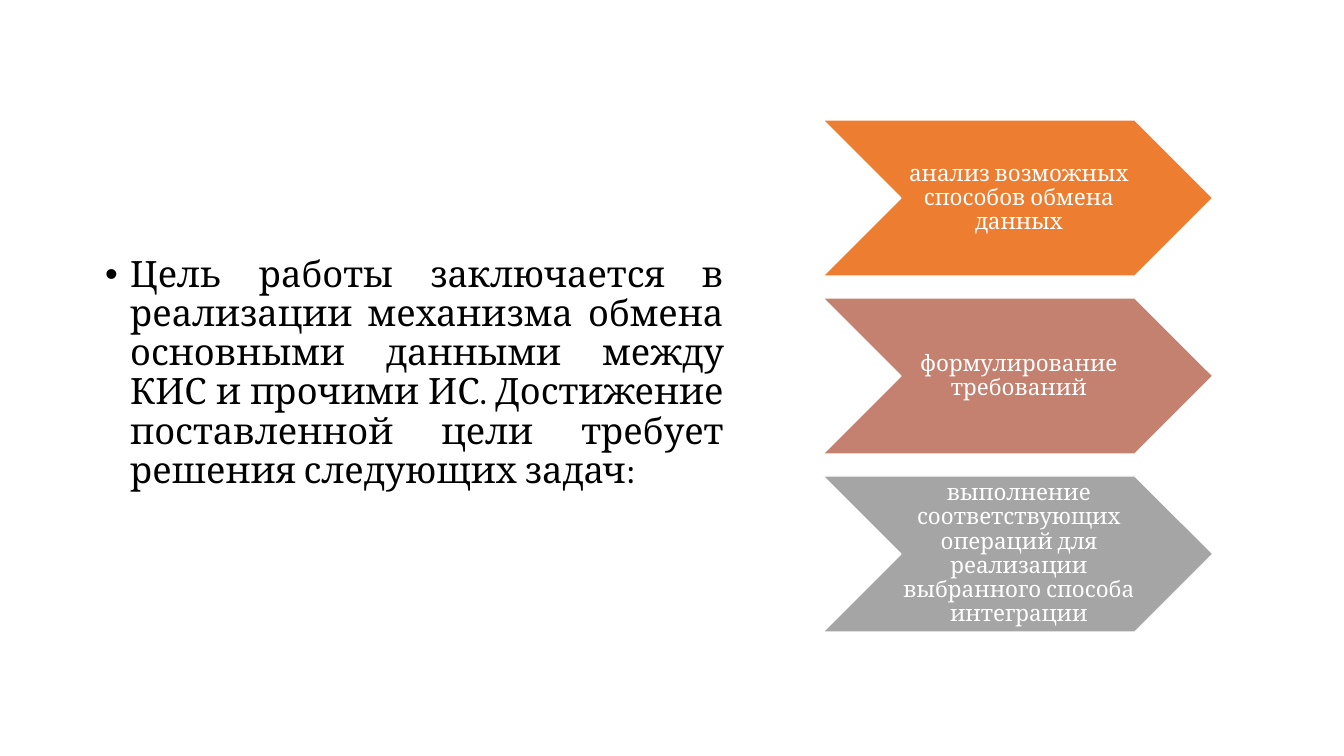
from pptx import Presentation
from pptx.dml.color import RGBColor
from pptx.enum.shapes import MSO_SHAPE as Shape
from pptx.enum.text import MSO_ANCHOR as Anchor, MSO_AUTO_SIZE as AutoSize, PP_ALIGN as Align
from pptx.util import Pt

PX = 12192000 / 1344
COLORS = {
    "background": "FFFFFF",
    "text": "000000",
    "light": "FFFFFF",
    "analysis": "ED7D31",
    "requirements": "C48170",
    "execution": "A5A5A5",
}


def px(length):
    return round(length * PX)


def format_paragraph(paragraph, align, size, color):
    paragraph.alignment = align
    paragraph.line_spacing = 0.9
    for run in paragraph.runs:
        run.font.name = "Cambria"
        run.font.size = Pt(size)
        run.font.color.rgb = RGBColor.from_string(COLORS[color])


prs = Presentation()
prs.slide_width, prs.slide_height = px(1344), px(756)
slide = prs.slides.add_slide(prs.slide_layouts[1])
slide.background.fill.solid()
slide.background.fill.fore_color.rgb = RGBColor.from_string(COLORS["background"])

# The slide has no title
title = slide.shapes.title
title.element.getparent().remove(title.element)

# Goal of the work
goal = slide.placeholders[1]
goal.left, goal.top, goal.width, goal.height = px(95), px(251), px(639), px(250)
goal.text_frame.text = (
    "Цель работы заключается в реализации механизма обмена основными данными "
    "между КИС и прочими ИС. Достижение поставленной цели требует решения "
    "следующих задач:"
)
goal.text_frame.auto_size = AutoSize.NONE
goal.text_frame.vertical_anchor = Anchor.TOP
goal_paragraph = goal.text_frame.paragraphs[0]
format_paragraph(goal_paragraph, Align.JUSTIFY, 25.9, "text")
goal_paragraph.space_before = Pt(10)
indents = goal_paragraph._p.get_or_add_pPr()
indents.set("marL", str(px(25)))
indents.set("indent", str(-px(25)))

# Tasks as a column of chevrons
tasks = [
    ("анализ возможных способов обмена данных", "analysis"),
    ("формулирование требований", "requirements"),
    ("выполнение соответствующих операций для реализации выбранного способа интеграции",
     "execution"),
]
TASK_HEIGHT, TASK_GAP = 156, 22
for row, (wording, color) in enumerate(tasks):
    top = 120 + row * (TASK_HEIGHT + TASK_GAP)
    task = slide.shapes.add_shape(
        Shape.CHEVRON, px(823), px(top), px(390), px(TASK_HEIGHT))
    task.shadow.inherit = False
    task.fill.solid()
    task.fill.fore_color.rgb = RGBColor.from_string(COLORS[color])
    task.line.color.rgb = RGBColor.from_string(COLORS["light"])
    task.line.width = Pt(1)
    frame = task.text_frame
    frame.text = wording
    frame.word_wrap = True
    frame.vertical_anchor = Anchor.MIDDLE
    frame.margin_left, frame.margin_right = px(2), 0
    frame.margin_top = frame.margin_bottom = px(1)
    format_paragraph(frame.paragraphs[0], Align.CENTER, 16, "light")

prs.save("out.pptx")
